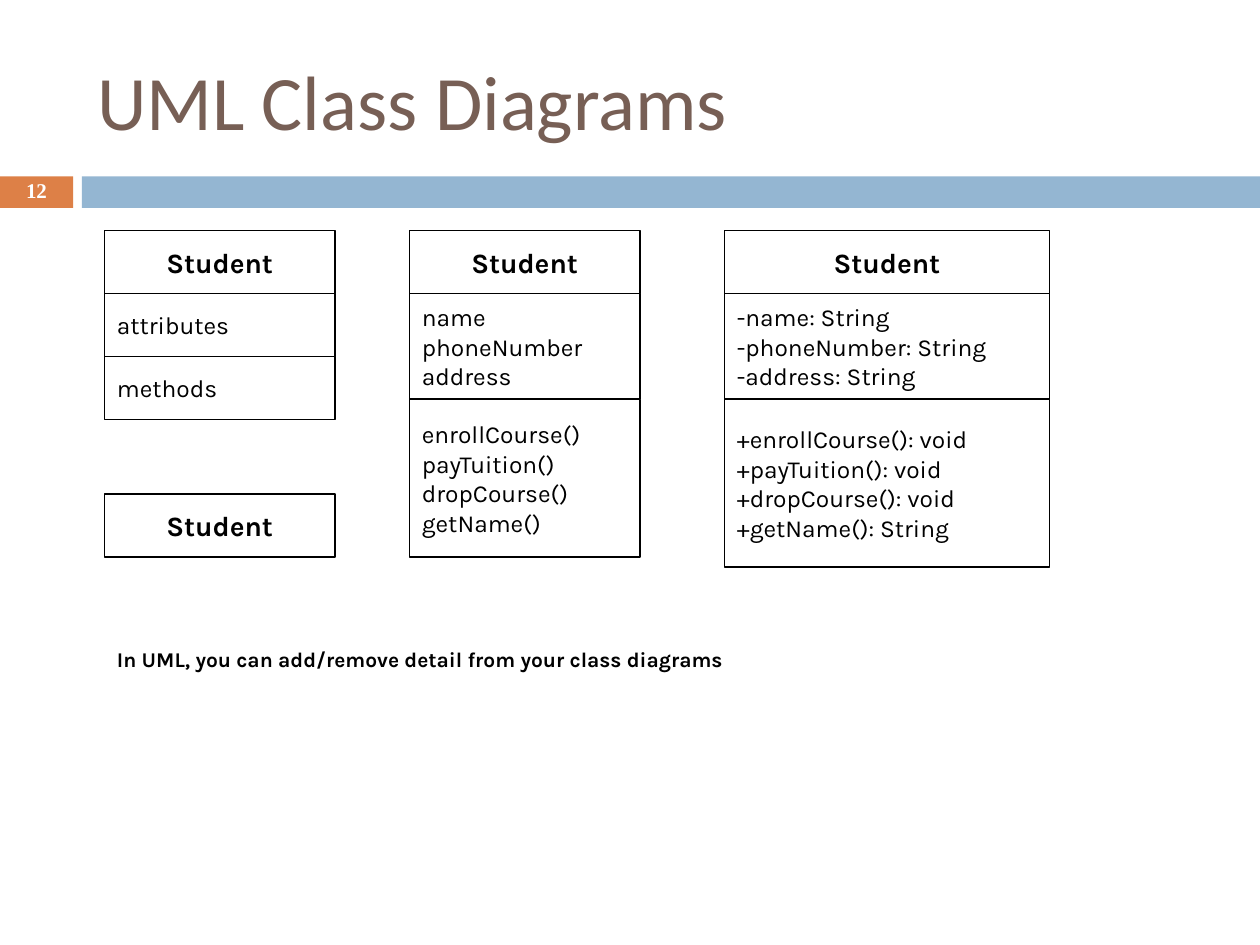
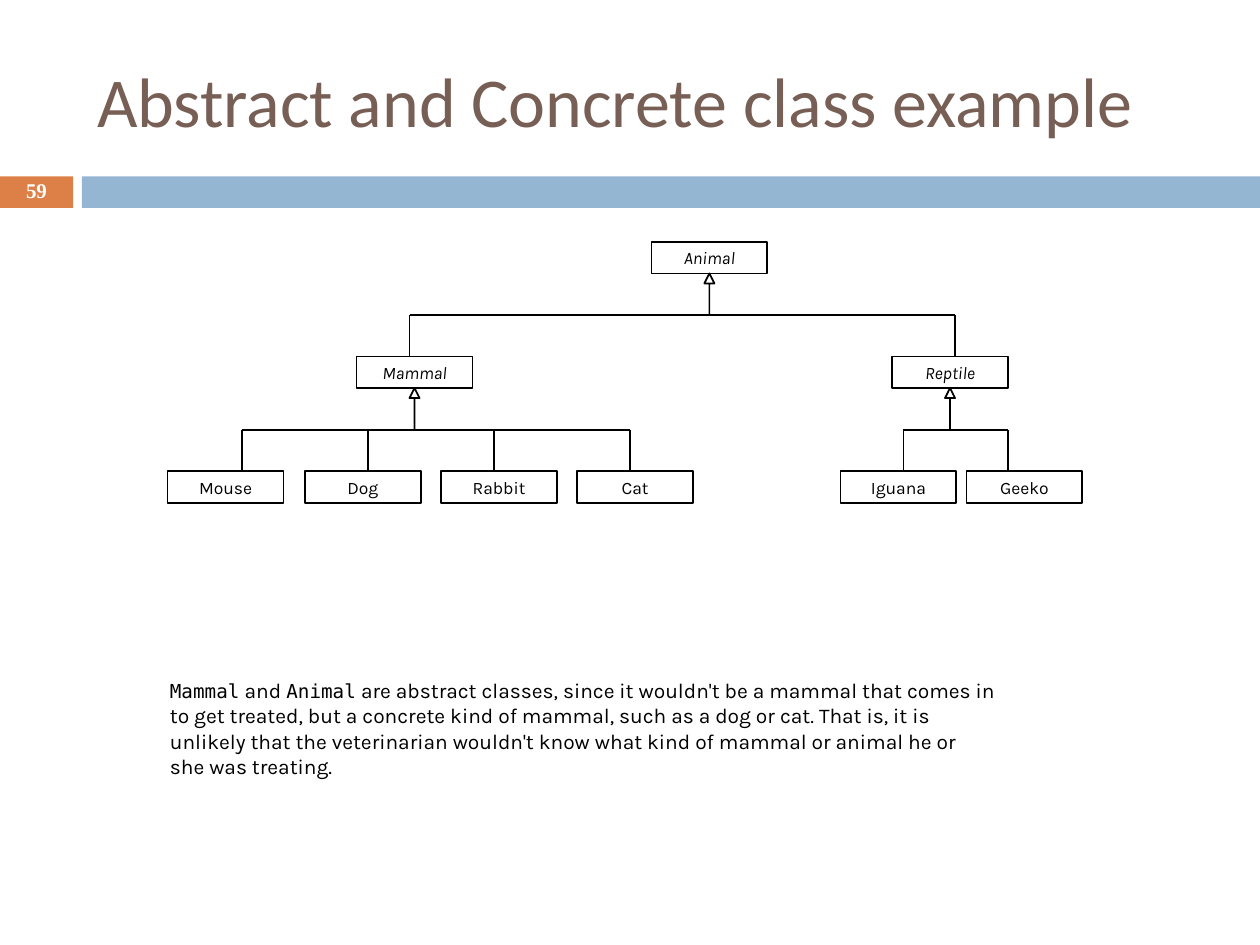
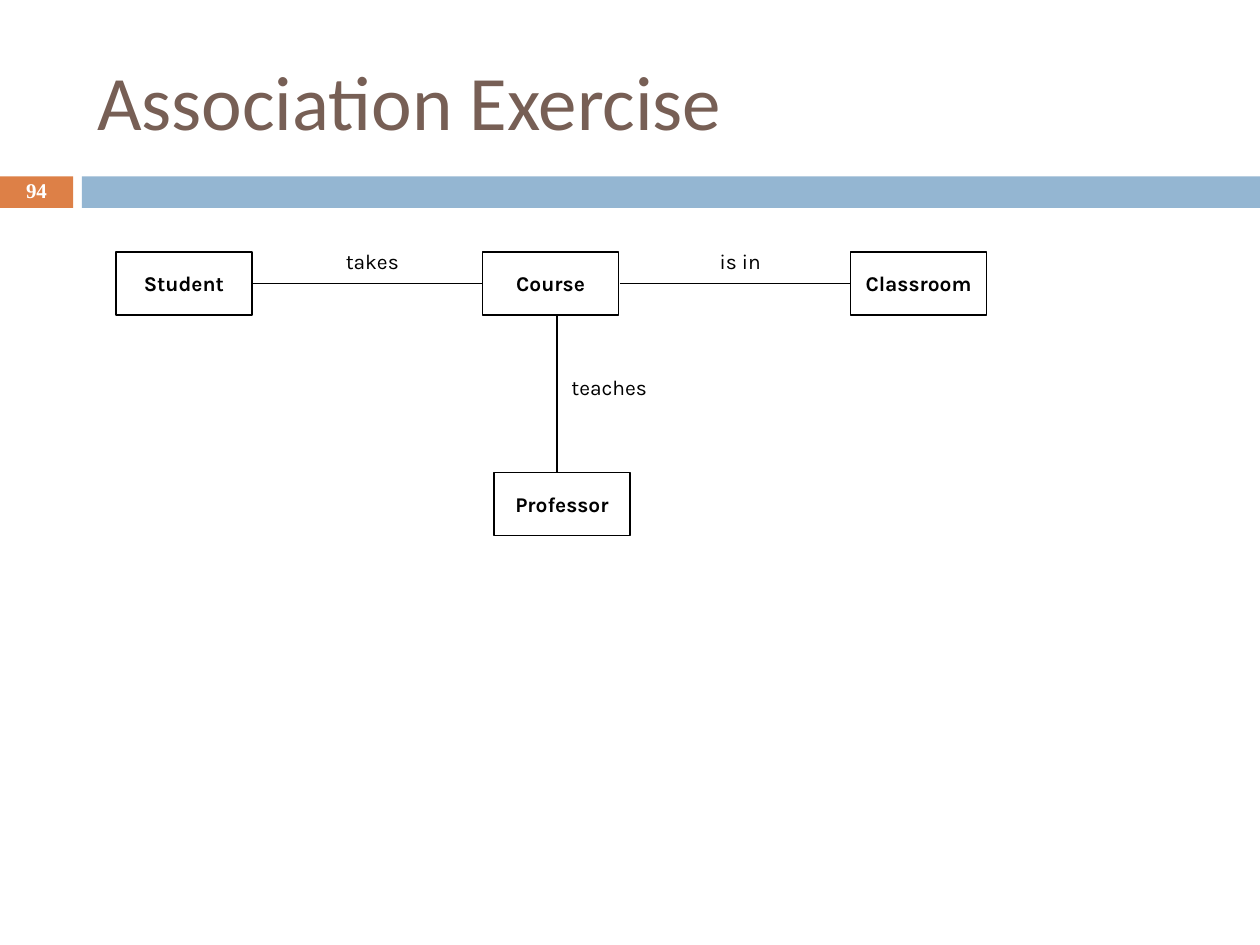
from dataclasses import dataclass

import lxml.etree
import pptx
import pptx.dml.color
import pptx.enum.shapes
import pptx.enum.text
import pptx.oxml.ns
import pptx.util

Inches = pptx.util.Inches
Align = pptx.enum.text.PP_ALIGN
Anchor = pptx.enum.text.MSO_ANCHOR
Shape = pptx.enum.shapes.MSO_SHAPE


@dataclass(frozen=True)
class Theme:
    orange: str = "DD8047"
    blue: str = "94B6D2"
    brown: str = "775F55"
    black: str = "000000"
    white: str = "FFFFFF"
    title_font: str = "Calibri"
    number_font: str = "Times New Roman"
    body_font: str = "Karla"
    code_font: str = "DejaVu Sans Mono"
    title_size: int = 44
    long_title_size: int = 40
    class_size: int = 16
    member_size: int = 14
    text_size: int = 12
    code_size: int = 11
    tree_size: int = 10
    line_width: int = 1


THEME = Theme()
BAND_TOP, BAND_HEIGHT, NUMBER_WIDTH = 1.4, 0.25, 0.58


def rgb(color):
    return pptx.dml.color.RGBColor.from_string(color)


def style_font(font, size, name=THEME.body_font, color=THEME.black, bold=False, italic=False):
    font.size = pptx.util.Pt(size)
    font.name = name
    font.color.rgb = rgb(color)
    font.bold = bold
    font.italic = italic


def write_lines(frame, lines, align, size, **font_style):
    """Write each line as a paragraph of its own."""
    for index, line in enumerate(lines):
        para = frame.paragraphs[0] if index == 0 else frame.add_paragraph()
        para.text = line
        para.alignment = align
        style_font(para.font, size, **font_style)


def add_filled(slide, kind, left, top, width, height, fill, line=None):
    shape = slide.shapes.add_shape(
        kind, Inches(left), Inches(top), Inches(width), Inches(height))
    shape.shadow.inherit = False
    shape.fill.solid()
    shape.fill.fore_color.rgb = rgb(fill)
    if line:
        shape.line.color.rgb = rgb(line)
        shape.line.width = pptx.util.Pt(THEME.line_width)
    else:
        shape.line.fill.background()
    return shape


def add_box(slide, left, top, width, height, lines, size, align=Align.CENTER, **font_style):
    box = add_filled(slide, Shape.RECTANGLE, left, top, width, height, THEME.white, THEME.black)
    frame = box.text_frame
    frame.word_wrap = False
    frame.vertical_anchor = Anchor.MIDDLE
    write_lines(frame, lines, align, size, **font_style)


def add_text(slide, left, top, width, height):
    """Add an empty wrapping text box and return its frame."""
    box = slide.shapes.add_textbox(Inches(left), Inches(top), Inches(width), Inches(height))
    box.text_frame.word_wrap = True
    return box.text_frame


def add_label(slide, left, top, width, text, align=Align.CENTER, bold=False):
    frame = add_text(slide, left, top, width, 0.3)
    write_lines(frame, [text], align, THEME.text_size, bold=bold)


def add_line(slide, start_x, start_y, end_x, end_y):
    line = slide.shapes.add_connector(
        pptx.enum.shapes.MSO_CONNECTOR.STRAIGHT,
        Inches(start_x), Inches(start_y), Inches(end_x), Inches(end_y))
    line.line.color.rgb = rgb(THEME.black)
    line.line.width = pptx.util.Pt(THEME.line_width)
    lxml.etree.SubElement(line.element.spPr, pptx.oxml.ns.qn("a:effectLst"))


def set_up_layout(layout, slide):
    """Place the title and bands on the layout; the slide only serves to create the bands."""
    title = next(shape for shape in layout.placeholders if shape.placeholder_format.idx == 0)
    title.left, title.top = Inches(0.67), Inches(0.25)
    title.width, title.height = Inches(8.92), Inches(1.08)
    for left, width, color in ((0, NUMBER_WIDTH, THEME.orange), (0.65, 9.35, THEME.blue)):
        band = add_filled(slide, Shape.RECTANGLE, left, BAND_TOP, width, BAND_HEIGHT, color)
        layout.shapes.element.append(band.element)


def add_heading(slide, title, number, size=THEME.title_size):
    frame = slide.shapes.title.text_frame
    frame.auto_size = pptx.enum.text.MSO_AUTO_SIZE.NONE
    frame.vertical_anchor = Anchor.MIDDLE
    write_lines(frame, [title], Align.LEFT, size, name=THEME.title_font, color=THEME.brown)

    frame = add_text(slide, 0, 1.39, NUMBER_WIDTH, 0.27)
    frame.vertical_anchor = Anchor.MIDDLE
    write_lines(frame, [str(number)], Align.CENTER, THEME.text_size,
                name=THEME.number_font, color=THEME.white, bold=True)
    frame.paragraphs[0].line_spacing = 0.8


def add_class(slide, left, top, width, name, compartments=()):
    """Stack a class name and its (height, lines) compartments."""
    name_height = 0.5
    add_box(slide, left, top, width, name_height, [name], THEME.class_size, bold=True)
    top += name_height
    for height, lines in compartments:
        add_box(slide, left, top, width, height, lines, THEME.member_size, Align.LEFT)
        top += height


def build_class_diagrams(slide):
    add_heading(slide, "UML Class Diagrams", 12)
    top, width = 1.83, 1.83
    add_class(slide, 0.83, top, width, "Student", [(0.5, ["attributes"]), (0.5, ["methods"])])
    add_class(slide, 0.83, 3.92, width, "Student")
    add_class(slide, 3.25, top, width, "Student", [
        (0.84, ["name", "phoneNumber", "address"]),
        (1.25, ["enrollCourse()", "payTuition()", "dropCourse()", "getName()"]),
    ])
    add_class(slide, 5.75, top, 2.58, "Student", [
        (0.84, ["-name: String", "-phoneNumber: String", "-address: String"]),
        (1.33, ["+enrollCourse(): void", "+payTuition(): void",
                "+dropCourse(): void", "+getName(): String"]),
    ])
    add_label(slide, 0.83, 5.08, 6.92, "In UML, you can add/remove detail from your class diagrams",
              Align.LEFT, bold=True)


def add_family(slide, parent, left, top, children):
    """Draw an abstract class, its inheritance arrow and a line to each (name, left, joint) child."""
    width, height, arrow_width, arrow_height = 0.92, 0.25, 0.08, 0.33
    add_box(slide, left, top, width, height, [parent], THEME.tree_size, italic=True)
    arrow = add_filled(slide, Shape.UP_ARROW, left + (width - arrow_width) / 2, top + height,
                       arrow_width, arrow_height, THEME.white, THEME.black)
    arrow.adjustments[0], arrow.adjustments[1] = 0, 1

    branch_y = top + height + arrow_height
    child_top = branch_y + 0.33
    joints = [joint for _, _, joint in children]
    add_line(slide, joints[0], branch_y, joints[-1], branch_y)
    for name, child_left, joint in children:
        add_line(slide, joint, child_top, joint, branch_y)
        if name:
            add_box(slide, child_left, child_top, width, height, [name], THEME.tree_size)


def build_abstract_example(slide):
    add_heading(slide, "Abstract and Concrete class example", 59, THEME.long_title_size)
    # Mammal and Reptile are drawn as parents below, so only their joints are given here.
    add_family(slide, "Animal", 5.17, 1.92, [(None, None, 3.25), (None, None, 7.58)])
    add_family(slide, "Mammal", 2.83, 2.83, [
        ("Mouse", 1.33, 1.92), ("Dog", 2.42, 2.92), ("Rabbit", 3.5, 3.92), ("Cat", 4.58, 5)])
    add_family(slide, "Reptile", 7.08, 2.83, [("Iguana", 6.67, 7.17), ("Geeko", 7.67, 8)])

    para = add_text(slide, 1.25, 5.33, 6.75, 0.9).paragraphs[0]
    code = (THEME.code_size, THEME.code_font)
    prose = (THEME.text_size, THEME.body_font)
    for text, (size, name) in (
        ("Mammal", code),
        (" and ", prose),
        ("Animal", code),
        (" are abstract classes, since it wouldn't be a mammal that comes in to get treated, "
         "but a concrete kind of mammal, such as a dog or cat. That is, it is unlikely that "
         "the veterinarian wouldn't know what kind of mammal or animal he or she was treating.",
         prose),
    ):
        span = para.add_run()
        span.text = text
        style_font(span.font, size, name)


def build_association_exercise(slide):
    add_heading(slide, "Association Exercise", 94)
    for name, left, top in (("Student", 0.92, 2), ("Course", 3.83, 2),
                            ("Professor", 3.92, 3.75), ("Classroom", 6.75, 2)):
        add_box(slide, left, top, 1.08, 0.5, [name], THEME.text_size, bold=True)
    add_line(slide, 2, 2.25, 3.83, 2.25)
    add_line(slide, 4.92, 2.25, 6.75, 2.25)
    add_line(slide, 4.42, 2.5, 4.42, 3.75)
    add_label(slide, 2.08, 1.92, 1.75, "takes")
    add_label(slide, 4.25, 2.92, 1.17, "teaches")
    add_label(slide, 5, 1.92, 1.75, "is in")


def main():
    deck = pptx.Presentation()
    deck.slide_width, deck.slide_height = Inches(10), Inches(7.5)
    layout = deck.slide_layouts.get_by_name("Title Only")
    builders = (build_class_diagrams, build_abstract_example, build_association_exercise)
    for index, build in enumerate(builders):
        slide = deck.slides.add_slide(layout)
        if index == 0:
            set_up_layout(layout, slide)
        build(slide)
    deck.save("out.pptx")


if __name__ == "__main__":
    main()
